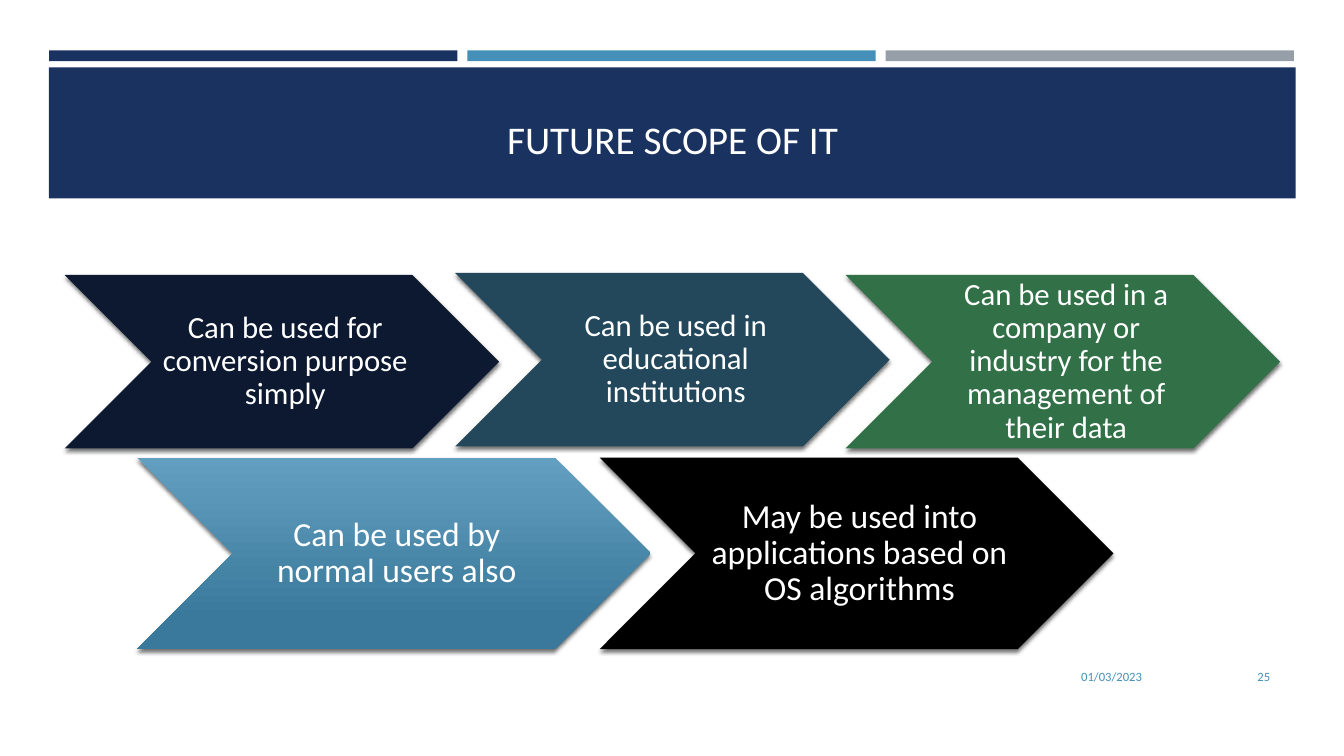
from lxml import etree
from pptx import Presentation
from pptx.dml.color import RGBColor
from pptx.enum.shapes import MSO_SHAPE
from pptx.enum.text import MSO_ANCHOR, PP_ALIGN
from pptx.oxml.ns import qn
from pptx.util import Cm, Pt

RECT, CHEVRON = MSO_SHAPE.RECTANGLE, MSO_SHAPE.CHEVRON
MIDDLE, BOTTOM = MSO_ANCHOR.MIDDLE, MSO_ANCHOR.BOTTOM
CENTER, RIGHT = PP_ALIGN.CENTER, PP_ALIGN.RIGHT

NAVY, BLUE, GREY, WHITE = "1A3260", "4590B8", "969FA7", "FFFFFF"
TITLE = "FUTURE SCOPE OF IT"
BARS = [NAVY, BLUE, GREY]
ROWS = [
    dict(left=1.63, step=9.84, width=10.95, height=4.37, size=22, pad=0.08, steps=[
        ("Can be used for conversion purpose simply", 6.93, ["0D1930"]),
        ("Can be used in educational institutions", 6.88, ["23485C"]),
        ("Can be used in a company or industry for the management of their data",
         6.93, ["327047"]),
    ]),
    dict(left=3.45, step=11.66, width=12.95, height=4.83, size=24, pad=0.1, steps=[
        ("Can be used by normal users also", 11.53, ["639FC1", "3A799B"]),
        ("May be used into applications based on OS algorithms", 11.53, ["000000"]),
    ]),
]
FOOTER = [("01/03/2023", 21.13, 7.9), ("25", 29.34, 2.92)]


def rgb(code):
    return RGBColor.from_string(code)


def box(*sizes):
    return [Cm(size) for size in sizes]


def write(shape, text, size, color, align, anchor, pads=(0.25, 0.13, 0.25, 0.13)):
    frame = shape.text_frame
    frame.text = text
    left, top, right, bottom = box(*pads)
    look = dict(word_wrap=True, vertical_anchor=anchor, margin_left=left,
                margin_top=top, margin_right=right, margin_bottom=bottom)
    for name, value in look.items():
        setattr(frame, name, value)
    para = frame.paragraphs[0]
    para.alignment = align
    font = para.runs[0].font
    for name, value in dict(name="Calibri", size=Pt(size), bold=False).items():
        setattr(font, name, value)
    font.color.rgb = rgb(color)
    return para


def draw(kind, place, colors):
    shape = slide.shapes.add_shape(kind, *box(*place))
    shape.shadow.inherit = False
    shape.line.fill.background()
    fill = shape.fill
    if len(colors) == 1:
        fill.solid()
        fill.fore_color.rgb = rgb(colors[0])
    else:
        fill.gradient()
        fill.gradient_angle = 270
        for stop, color, spot in zip(fill.gradient_stops, colors, (0, 0.84)):
            stop.color.rgb = rgb(color)
            stop.position = spot
    return shape


def shade(shape):
    effects = shape.element.spPr.find(qn("a:effectLst"))
    outer = etree.SubElement(effects, qn("a:outerShdw"), blurRad=str(Pt(3)),
                             dist=str(Pt(2)), dir="5400000", rotWithShape="0")
    color = etree.SubElement(outer, qn("a:srgbClr"), val="000000")
    etree.SubElement(color, qn("a:alpha"), val="55000")


deck = Presentation()
deck.slide_width, deck.slide_height = box(33.87, 19.05)
slide = deck.slides.add_slide(deck.slide_layouts[5])

for i, color in enumerate(BARS):
    draw(RECT, (1.24 + i * 10.54, 1.27, 10.29, 0.27), [color])
draw(RECT, (1.23, 1.7, 31.42, 3.3), [NAVY])

title = slide.shapes.title
title.left, title.top, title.width, title.height = box(1.63, 1.96, 30.63, 2.26)
write(title, TITLE, 28, WHITE, CENTER, BOTTOM)
title.element.getparent().append(title.element)

for row in ROWS:
    pad = row["pad"]
    for i, (text, top, colors) in enumerate(row["steps"]):
        left = row["left"] + i * row["step"]
        arrow = draw(CHEVRON, (left, top, row["width"], row["height"]), colors)
        shade(arrow)
        para = write(arrow, text, row["size"], WHITE, CENTER, MIDDLE,
                     (0.25, pad, pad, pad))
        para.line_spacing = 0.9

for text, left, width in FOOTER:
    note = slide.shapes.add_textbox(*box(left, 16.54, width, 1.02))
    write(note, text, 9, BLUE, RIGHT, MIDDLE)

deck.save("out.pptx")
